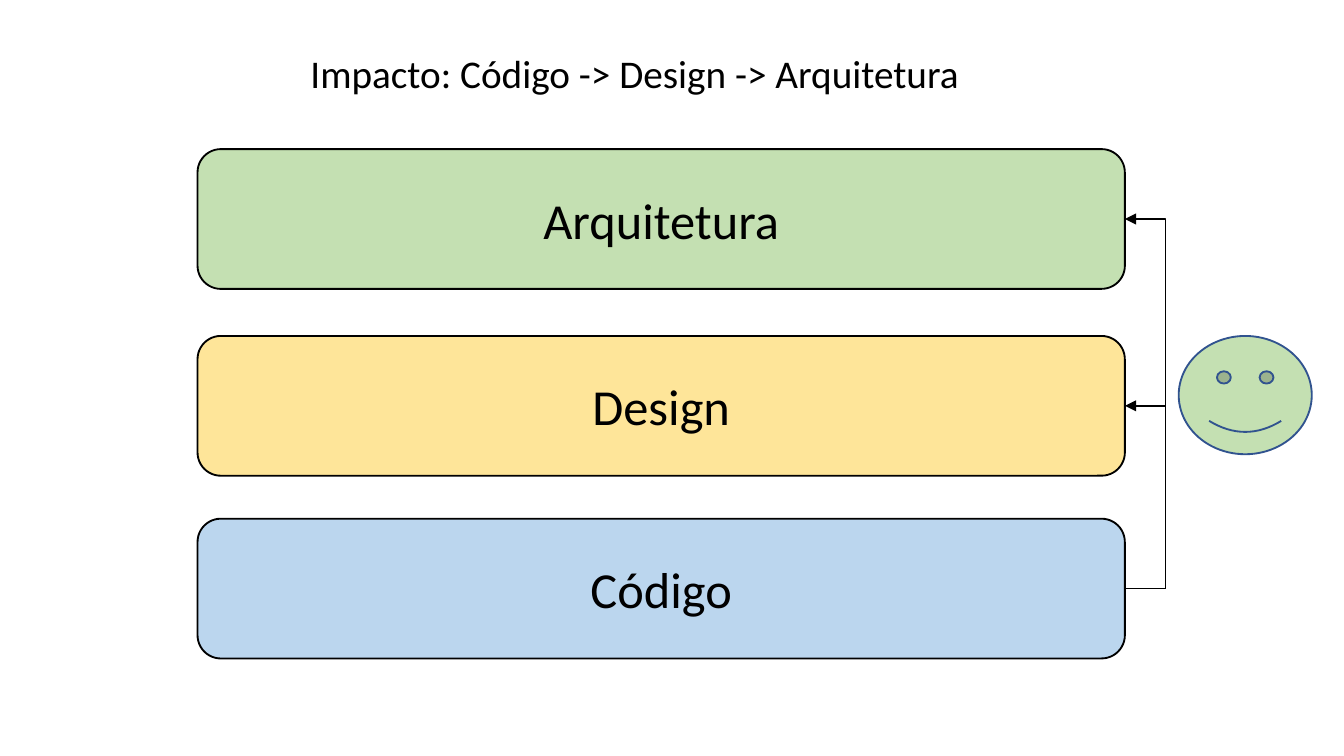
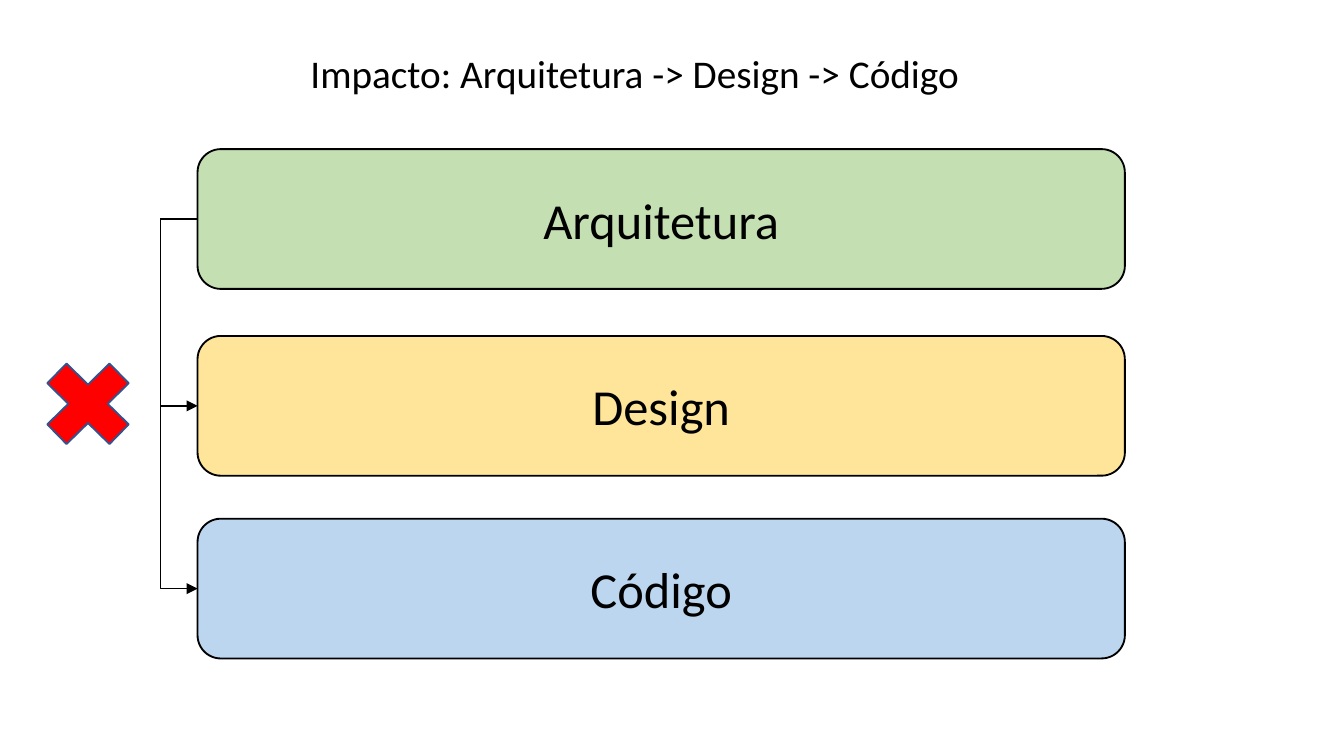
from lxml.etree import SubElement
from pptx import Presentation
from pptx.dml.color import RGBColor
from pptx.enum.shapes import MSO_CONNECTOR as Connector, MSO_SHAPE as Shape
from pptx.enum.text import MSO_ANCHOR as Anchor, MSO_AUTO_SIZE as AutoSize, PP_ALIGN as Align
from pptx.oxml.ns import qn
from pptx.util import Emu, Inches, Pt

SLIDE_WIDTH, SLIDE_HEIGHT = Inches(10), Inches(5.625)
COLUMN = SLIDE_WIDTH / 100
ROW = SLIDE_HEIGHT / 56.25
CONNECTOR_WIDTH = Emu(600)
LEFT_SIDE, RIGHT_SIDE = 1, 3

FONT = "Calibri"
COLORS = {
    "ink": "000000",
    "blue": "BBD6EE",
    "yellow": "FEE599",
    "green": "C4E0B2",
    "red": "FF0000",
    "icon_line": "31538F",
}
LAYERS = [("Código", 38.6, "blue"), ("Design", 25, "yellow"), ("Arquitetura", 11.1, "green")]


def color(name):
    return RGBColor.from_string(COLORS[name])


def grid_box(left, top, width, height):
    return [Emu(round(size)) for size in (left * COLUMN, top * ROW, width * COLUMN, height * ROW)]


def write_text(shape, text, size, align):
    frame = shape.text_frame
    frame.word_wrap = True
    frame.margin_left = frame.margin_right = Inches(0.07)
    frame.margin_top = frame.margin_bottom = Inches(0.04)
    frame.text = text
    paragraph = frame.paragraphs[0]
    paragraph.alignment = align
    paragraph.font.name = FONT
    paragraph.font.size = Pt(size)
    paragraph.font.color.rgb = color("ink")
    return frame


def add_title(slide, text):
    title = slide.shapes.add_textbox(*grid_box(22.4, 3.3, 55.3, 4.3))
    write_text(title, text, 21, Align.LEFT).auto_size = AutoSize.SHAPE_TO_FIT_TEXT


def add_outlined_shape(slide, kind, box, fill, line):
    shape = slide.shapes.add_shape(kind, *grid_box(*box))
    shape.shadow.inherit = False
    shape.fill.solid()
    shape.fill.fore_color.rgb = color(fill)
    shape.line.color.rgb = color(line)
    shape.line.width = Pt(1)
    return shape


def add_layers(slide):
    layers = {}
    for name, top, fill in LAYERS:
        layer = add_outlined_shape(slide, Shape.ROUNDED_RECTANGLE, (14.7, top, 69, 10.4), fill, "ink")
        write_text(layer, name, 27, Align.CENTER).vertical_anchor = Anchor.MIDDLE
        layers[name] = layer
    return layers


def add_impact_arrow(slide, source, target, side, reach):
    x = source.left + (source.width if side == RIGHT_SIDE else 0)
    start_y, end_y = (layer.top + layer.height // 2 for layer in (source, target))
    arrow = slide.shapes.add_connector(Connector.ELBOW, x, start_y, x, end_y)
    arrow.begin_connect(source, side)
    arrow.end_connect(target, side)
    arrow.width = CONNECTOR_WIDTH
    arrow.line.color.rgb = color("ink")
    arrow.line.width = Pt(0.75)
    properties = arrow._element.spPr
    bend = round(reach * COLUMN / CONNECTOR_WIDTH * 100000)
    guides = properties.find(qn("a:prstGeom")).find(qn("a:avLst"))
    SubElement(guides, qn("a:gd"), name="adj1", fmla=f"val {bend}")
    SubElement(properties.find(qn("a:ln")), qn("a:tailEnd"), type="triangle")
    SubElement(properties, qn("a:effectLst"))


def add_impact_slide(presentation, order, side, reach, icon, icon_box, icon_fill):
    slide = presentation.slides.add_slide(presentation.slide_layouts[6])
    layers = add_layers(slide)
    source, *targets = [layers[name] for name in order]
    for target in targets:
        add_impact_arrow(slide, source, target, side, reach)
    add_outlined_shape(slide, icon, icon_box, icon_fill, "icon_line")
    add_title(slide, "Impacto: " + " -> ".join(order))


def main():
    presentation = Presentation()
    presentation.slide_width, presentation.slide_height = SLIDE_WIDTH, SLIDE_HEIGHT
    upward = [name for name, _, _ in LAYERS]
    add_impact_slide(presentation, upward, RIGHT_SIDE, 2.5,
                     Shape.SMILEY_FACE, (87.7, 25, 9.9, 8.8), "green")
    add_impact_slide(presentation, upward[::-1], LEFT_SIDE, -2.3,
                     Shape.MATH_MULTIPLY, (2.1, 25.7, 8.9, 8.7), "red")
    presentation.save("out.pptx")


if __name__ == "__main__":
    main()
